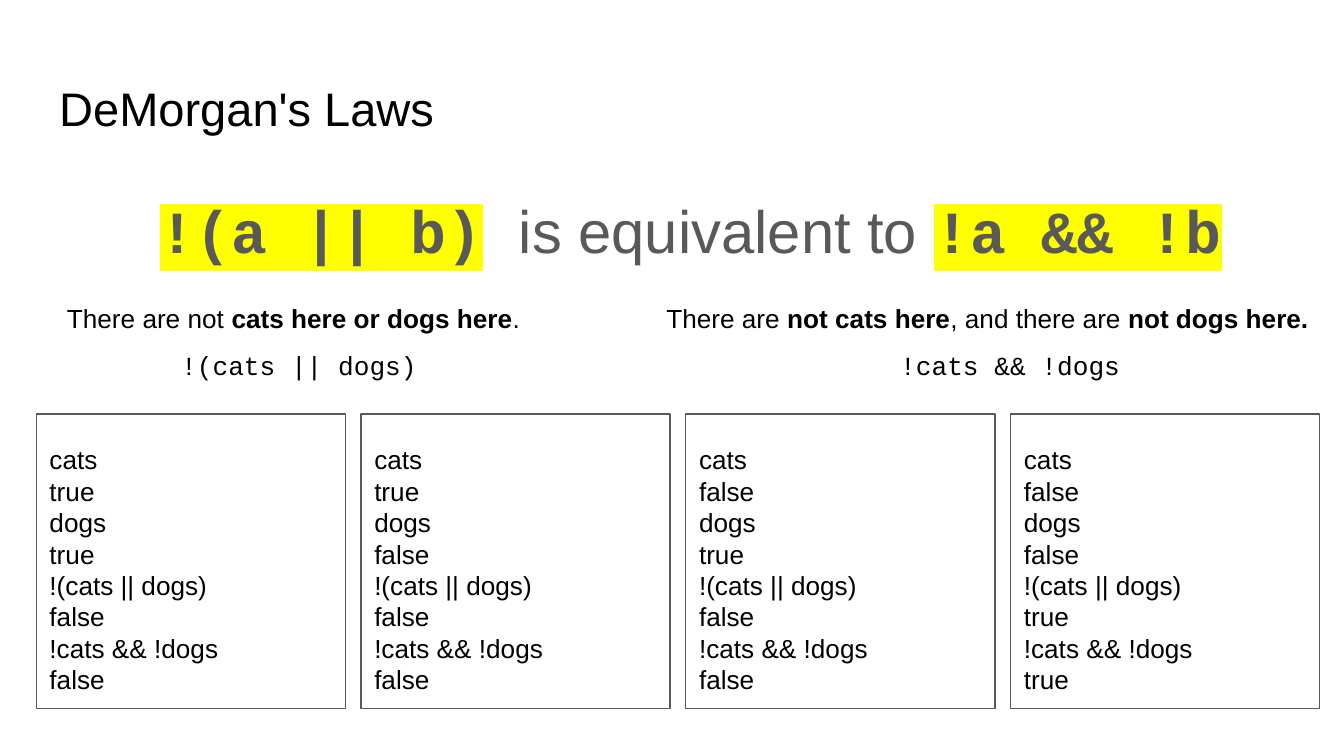
from dataclasses import dataclass
from itertools import product

import pptx
from lxml import etree
from pptx.dml.color import RGBColor
from pptx.enum.shapes import MSO_SHAPE
from pptx.enum.text import MSO_ANCHOR, MSO_AUTO_SIZE, PP_ALIGN
from pptx.oxml.ns import qn
from pptx.util import Inches, Pt


@dataclass(frozen=True)
class Theme:
    sans: str = "Arial"
    mono: str = "Courier New"
    black: str = "000000"
    gray: str = "595959"
    white: str = "FFFFFF"
    yellow: str = "FFFF00"
    title_size: float = 25.2
    law_size: float = 32
    text_size: float = 14


THEME = Theme()


def place(shape, left, top, width, height):
    shape.left, shape.top = Inches(left), Inches(top)
    shape.width, shape.height = Inches(width), Inches(height)


def prepare_frame(frame, anchor=MSO_ANCHOR.TOP):
    frame.word_wrap = True
    frame.auto_size = MSO_AUTO_SIZE.NONE
    frame.vertical_anchor = anchor
    frame.margin_left = frame.margin_right = Inches(0.1)
    frame.margin_top = frame.margin_bottom = Inches(0.1)


def format_font(font, size, color=THEME.black, name=THEME.sans, bold=False):
    font.size = Pt(size)
    font.name = name
    font.bold = bold
    font.color.rgb = RGBColor.from_string(color)


def highlight(span, color):
    fill = span.font._element.find(qn("a:solidFill"))
    mark = etree.Element(qn("a:highlight"))
    etree.SubElement(mark, qn("a:srgbClr"), val=color)
    fill.addnext(mark)


def add_span(para, text, size, **style):
    span = para.add_run()
    span.text = text
    format_font(span.font, size, **style)
    return span


def fill_title(title, text):
    place(title, 0.34, 0.49, 9.32, 0.62)
    prepare_frame(title.text_frame, MSO_ANCHOR.MIDDLE)
    para = title.text_frame.paragraphs[0]
    para.alignment = PP_ALIGN.LEFT
    add_span(para, text, THEME.title_size)


def fill_law(body, left_side, link, right_side):
    """Write the law on one line, with both code sides highlighted."""
    place(body, 1.09, 1.26, 8.14, 0.84)
    prepare_frame(body.text_frame)
    para = body.text_frame.paragraphs[0]
    properties = para._p.get_or_add_pPr()
    properties.set("marL", "0")
    properties.set("indent", "0")
    etree.SubElement(properties, qn("a:buNone"))
    para.line_spacing = 1.15
    para.space_before, para.space_after = Pt(0), Pt(12)
    code = dict(color=THEME.gray, name=THEME.mono, bold=True)
    highlight(add_span(para, left_side, THEME.law_size, **code), THEME.yellow)
    add_span(para, " ", THEME.law_size, **code)
    add_span(para, link, THEME.law_size, color=THEME.gray)
    highlight(add_span(para, right_side, THEME.law_size, **code), THEME.yellow)


def add_caption(slide, left, top, width, pieces, name=THEME.sans):
    """Add one line of text from (text, bold) pieces."""
    box = slide.shapes.add_textbox(
        Inches(left), Inches(top), Inches(width), Inches(0.44))
    prepare_frame(box.text_frame)
    for text, bold in pieces:
        add_span(box.text_frame.paragraphs[0], text, THEME.text_size,
                 name=name, bold=bold)


def add_truth_card(slide, left, cats, dogs):
    card = slide.shapes.add_shape(
        MSO_SHAPE.RECTANGLE, Inches(left), Inches(3.08), Inches(2.3), Inches(2.19))
    card.shadow.inherit = False
    card.fill.solid()
    card.fill.fore_color.rgb = RGBColor.from_string(THEME.white)
    card.line.color.rgb = RGBColor.from_string(THEME.gray)
    card.line.width = Pt(0.75)
    prepare_frame(card.text_frame, MSO_ANCHOR.BOTTOM)
    values = {
        "cats": cats,
        "dogs": dogs,
        "!(cats || dogs)": not (cats or dogs),
        "!cats && !dogs": not cats and not dogs,
    }
    card.text_frame.text = "\n".join(
        f"{label}\v{str(value).lower()}" for label, value in values.items())
    for para in card.text_frame.paragraphs:
        para.alignment = PP_ALIGN.LEFT
        for span in para.runs:
            format_font(span.font, THEME.text_size)


def main():
    deck = pptx.Presentation()
    deck.slide_width, deck.slide_height = Inches(10), Inches(10 * 9 / 16)
    slide = deck.slides.add_slide(deck.slide_layouts[1])

    fill_title(slide.shapes.title, "DeMorgan's Laws")
    fill_law(slide.placeholders[1], "!(a || b)", "is equivalent to ", "!a && !b")

    add_caption(slide, 0.4, 2.15, 4.24, [
        ("There are not ", False), ("cats here or dogs here", True), (".", False)])
    add_caption(slide, 4.86, 2.15, 5.16, [
        ("There are ", False), ("not cats here", True),
        (", and there are ", False), ("not dogs here.", True)])
    add_caption(slide, 1.25, 2.5, 2.35, [("!(cats || dogs)", False)], THEME.mono)
    add_caption(slide, 6.6, 2.5, 2.06, [("!cats && !dogs", False)], THEME.mono)

    first_left, last_left = 0.27, 7.52
    pitch = (last_left - first_left) / 3
    for column, (cats, dogs) in enumerate(product([True, False], repeat=2)):
        add_truth_card(slide, first_left + column * pitch, cats, dogs)

    deck.save("out.pptx")


if __name__ == "__main__":
    main()
